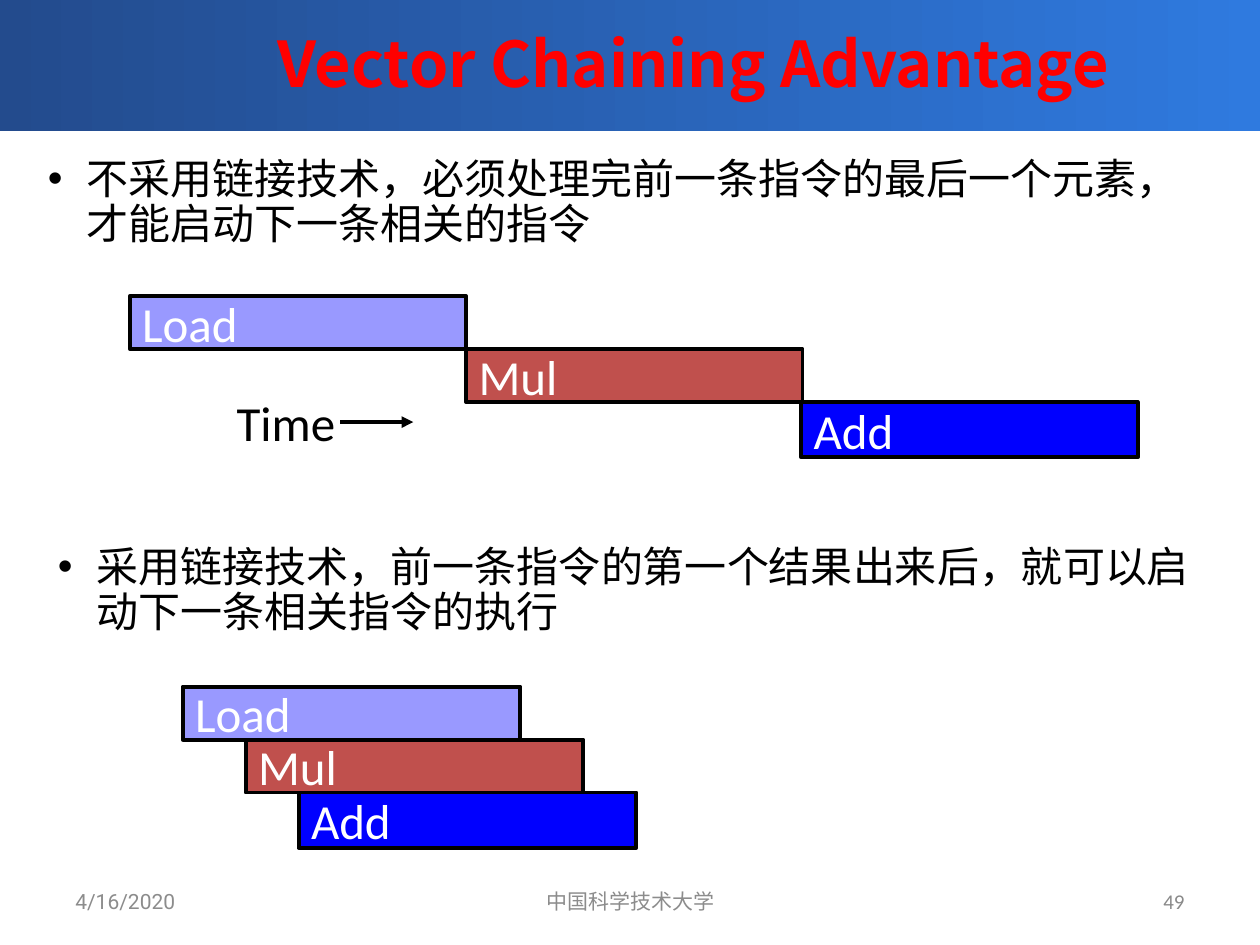
from lxml import etree
from pptx import Presentation
from pptx.dml.color import RGBColor
from pptx.enum import shapes, text
from pptx.oxml.ns import qn
from pptx.util import Inches, Pt

CJK, LATIN, FOOTER = "Noto Sans CJK SC", "Calibri", "Roboto"
LEFT, CENTER, RIGHT = text.PP_ALIGN.LEFT, text.PP_ALIGN.CENTER, text.PP_ALIGN.RIGHT

# Content
TITLE = "Vector Chaining Advantage"
BULLETS = [
    ("不采用链接技术，必须处理完前一条指令的最后一个元素，才能启动下一条相关的指令",
     (0.28, 1.2, 9.33, 0.83)),
    ("采用链接技术，前一条指令的第一个结果出来后，就可以启动下一条相关指令的执行",
     (0.36, 4.28, 9.39, 0.83)),
]
STAGES = [("Load", "9999FF", 0.42), ("Mul", "C0504D", 0.42), ("Add", "0000FF", 0.44)]
# Top of each timeline, bar width, and the left edge of each stage
TIMELINES = [
    (2.35, 2.67, [1.03, 3.7, 6.36]),
    (5.45, 2.68, [1.45, 1.95, 2.37]),
]
FOOTERS = [
    ("4/16/2020", (0.5, 6.95, 2.33, 0.4), LEFT, FOOTER, "8C8C8C"),
    ("中国科学技术大学", (3.42, 6.95, 3.17, 0.4), CENTER, FOOTER, "8C8C8C"),
    ("49", (7.17, 6.95, 2.33, 0.4), RIGHT, LATIN, "898989"),
]


def color(value):
    return RGBColor.from_string(value)


def place(shape, box):
    shape.left, shape.top, shape.width, shape.height = map(Inches, box)


def write(shape, content, size, font, hex_color, align=LEFT, bold=False, wrap=True):
    frame = shape.text_frame
    frame.text = content
    frame.word_wrap = wrap
    frame.auto_size = text.MSO_AUTO_SIZE.NONE
    frame.vertical_anchor = text.MSO_ANCHOR.MIDDLE
    paragraph = frame.paragraphs[0]
    paragraph.alignment = align
    paragraph.font.size, paragraph.font.bold = Pt(size), bold
    paragraph.font.name = font
    paragraph.font.color.rgb = color(hex_color)
    latin = paragraph.font._element.find(qn("a:latin"))
    east_asian = etree.Element(qn("a:ea"), typeface=CJK)
    latin.addnext(east_asian)
    return paragraph


def add_bullet(paragraph):
    paragraph.line_spacing = 0.9
    paragraph.space_before = Pt(7)
    properties = paragraph._p.get_or_add_pPr()
    properties.set("marL", str(Inches(0.31)))
    properties.set("indent", str(-Inches(0.31)))
    defaults = properties.find(qn("a:defRPr"))
    defaults.addprevious(etree.Element(qn("a:buFont"), typeface="Arial"))
    defaults.addprevious(etree.Element(qn("a:buChar"), char="•"))


def outline(line):
    line.color.rgb = color("000000")
    line.width = Pt(2.25)


presentation = Presentation()
presentation.slide_width, presentation.slide_height = Inches(10), Inches(7.5)
slide = presentation.slides.add_slide(presentation.slide_layouts.get_by_name("Two Content"))


def add_rectangle(box):
    shape = slide.shapes.add_shape(shapes.MSO_SHAPE.RECTANGLE, *map(Inches, box))
    shape.shadow.inherit = False
    return shape


def add_label(content, box, *style, **options):
    write(slide.shapes.add_textbox(*map(Inches, box)), content, *style, **options)


# Title band, behind everything else
band = add_rectangle((0, -0.03, 10, 1.07))
band.line.fill.background()
band.fill.gradient()
band.fill.gradient_angle = 0
for stop, position, value in zip(band.fill.gradient_stops, (0, 1), ("234B8D", "2F7ADF")):
    stop.position = position
    stop.color.rgb = color(value)
slide.shapes._spTree.insert(2, band._element)

# Title and bullets
title, *bodies = slide.placeholders
place(title, (1, 0, 9, 0.99))
write(title, TITLE, 36, CJK, "FF0000", CENTER, bold=True)
for body, (content, box) in zip(bodies, BULLETS):
    place(body, box)
    add_bullet(write(body, content, 24, CJK, "000000"))

# Timelines: each stage sits directly below the one before
for top, width, lefts in TIMELINES:
    for left, (name, fill, height) in zip(lefts, STAGES):
        bar = add_rectangle((left, top, width, height))
        bar.fill.solid()
        bar.fill.fore_color.rgb = color(fill)
        outline(bar.line)
        write(bar, name, 28, LATIN, "FFFFFF")
        top += height

# Time arrow
add_label("Time", (1.78, 3.06, 0.99, 0.57), 28, LATIN, "000000", wrap=False)
arrow = slide.shapes.add_connector(
    shapes.MSO_CONNECTOR.STRAIGHT, *map(Inches, (2.7, 3.35, 3.28, 3.35)))
outline(arrow.line)
etree.SubElement(arrow.line._get_or_add_ln(), qn("a:tailEnd"), type="triangle")
etree.SubElement(arrow._element.spPr, qn("a:effectLst"))

# Footer
for content, box, align, font, hex_color in FOOTERS:
    add_label(content, box, 12, font, hex_color, align)

presentation.save("out.pptx")
